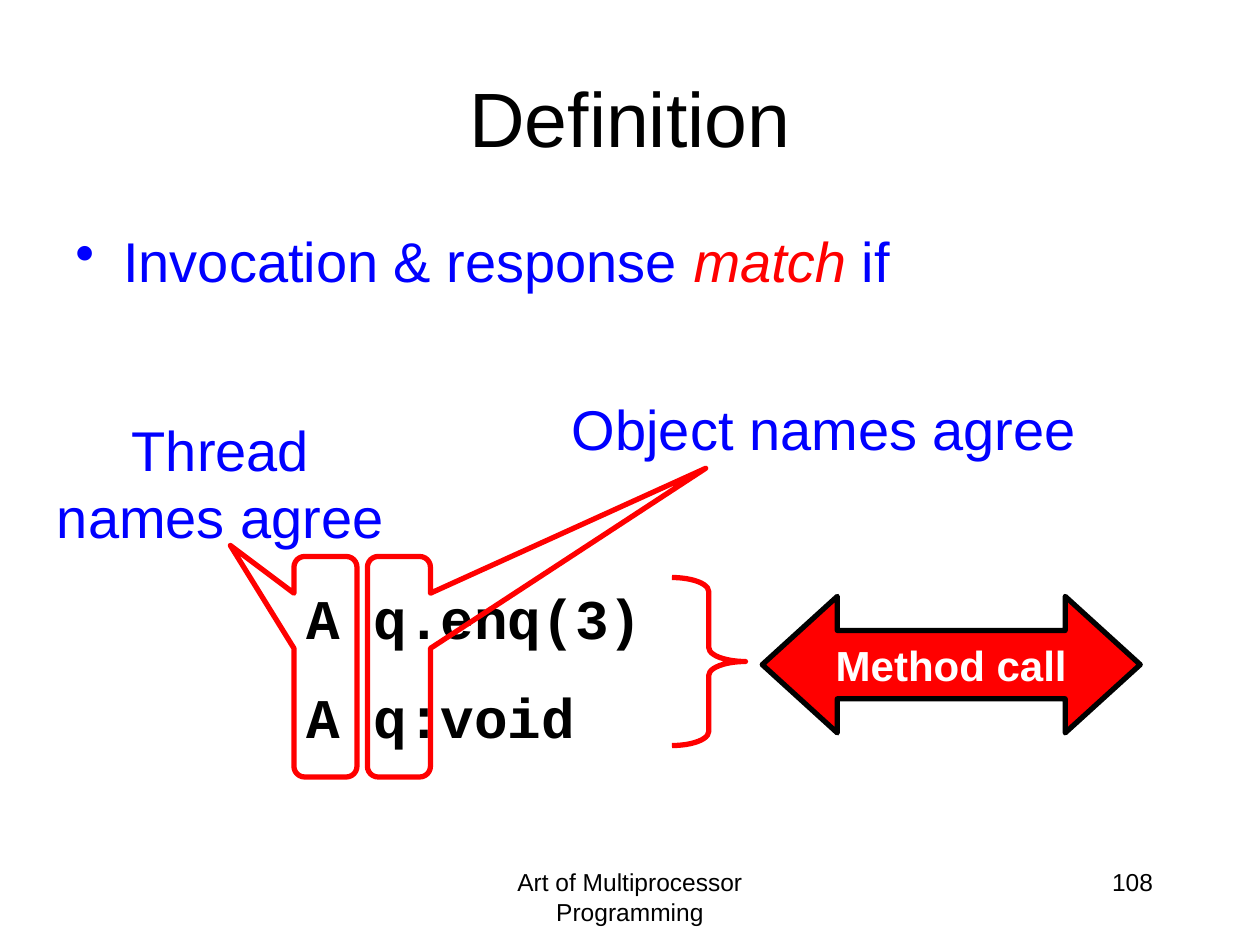
from lxml import etree
from pptx import Presentation
from pptx import util as u
from pptx.dml.color import RGBColor
from pptx.enum import shapes, text
from pptx.oxml.ns import qn

# Grid: 120 columns by 90 rows over a 10 x 7.5 inch slide
presentation = Presentation()
presentation.slide_width, presentation.slide_height = u.Inches(10), u.Inches(7.5)
CELL = presentation.slide_width / 120
BLACK, BLUE, RED, WHITE = "000000", "0000FF", "FF0000", "FFFFFF"
LEFT, CENTER, RIGHT = text.PP_ALIGN.LEFT, text.PP_ALIGN.CENTER, text.PP_ALIGN.RIGHT
Kind = shapes.MSO_SHAPE


def color(value):
    return RGBColor.from_string(value)


def write(shape, lines, align, size, hue=BLACK, gap=0, wrap=True, **formats):
    """Fill a shape with lines, each a list of (words, extra formats) runs."""
    frame = shape.text_frame
    frame.word_wrap = wrap
    for number, runs in enumerate(lines):
        paragraph = frame.add_paragraph() if number else frame.paragraphs[0]
        paragraph.alignment = align
        if number:
            paragraph.space_before = u.Pt(gap)
        for words, extra in runs:
            run = paragraph.add_run()
            run.text = words
            values = {"name": "Arial", "size": u.Pt(size), "hue": hue, **formats, **extra}
            run.font.color.rgb = color(values.pop("hue"))
            for key, value in values.items():
                setattr(run.font, key, value)
    return frame.paragraphs[0]


slide = presentation.slides.add_slide(presentation.slide_layouts[5])

# Title
title = slide.shapes.title
for side, cells in {"left": 6, "top": 3.6, "width": 108, "height": 15}.items():
    setattr(title, side, int(cells * CELL))
title.text_frame.vertical_anchor = text.MSO_ANCHOR.MIDDLE
write(title, [[("Definition", {})]], CENTER, 44)

# Text boxes: place on the grid, lines, alignment, size, formats, indents in inches
match_line = [("Invocation & response ", {}), ("match", {"hue": RED, "italic": True}), (" if", {})]
code = [[("A q.enq(3)", {})], [("A q:void", {})]]
boxes = [
    ((41, 82, 38, 6), [[("Art of Multiprocessor Programming", {})]], CENTER, 14, {}, None),
    ((86, 82, 25, 6), [[("108", {})]], RIGHT, 14, {}, None),
    ((6, 21, 108, 59.4), [match_line], LEFT, 32, {"hue": BLUE}, (0.38, -0.38)),
    ((28, 55, 60, 17), code, LEFT, 32, {"name": "Courier New", "bold": True, "gap": 18}, None),
    ((4, 39, 34, 14), [[("Thread names agree", {})]], CENTER, 32, {"hue": BLUE}, None),
    ((47, 37, 57, 7.7), [[("Object names agree", {})]], CENTER, 32, {"hue": BLUE}, (0.5, 0)),
]
for place, lines, align, size, formats, indents in boxes:
    box = slide.shapes.add_textbox(*(int(cells * CELL) for cells in place))
    paragraph = write(box, lines, align, size, **formats)
    if indents:
        properties = paragraph._p.get_or_add_pPr()
        for name, inches in zip(("marL", "indent"), indents):
            properties.set(name, str(int(u.Inches(inches))))
        if indents[1] < 0:
            etree.SubElement(properties, qn("a:buChar")).set("char", "•")

# Brace, callouts around the thread and object names, and the call arrow
figures = [
    (Kind.RIGHT_BRACE, (64, 55, 7, 16), (0.19, 0.5), None, RED),
    (Kind.ROUNDED_RECTANGULAR_CALLOUT, (28, 53, 6, 21), (-1.51, -0.55, 0.17), None, RED),
    (Kind.ROUNDED_RECTANGULAR_CALLOUT, (35, 53, 6, 21), (4.87, -0.9, 0.17), None, RED),
    (Kind.LEFT_RIGHT_ARROW, (72.6, 56.8, 36, 13), (0.5, 0.55), RED, BLACK),
]
for kind, place, adjustments, fill, line in figures:
    shape = slide.shapes.add_shape(kind, *(int(cells * CELL) for cells in place))
    shape.shadow.inherit = False
    for number, value in enumerate(adjustments):
        shape.adjustments[number] = value
    shape.line.color.rgb = color(line)
    shape.line.width = u.Pt(3)
    if fill:
        shape.fill.solid()
        shape.fill.fore_color.rgb = color(fill)
        shape.text_frame.vertical_anchor = text.MSO_ANCHOR.MIDDLE
        write(shape, [[("Method call", {})]], CENTER, 24, WHITE, wrap=False, bold=True)
    else:
        shape.fill.background()

presentation.save("out.pptx")
